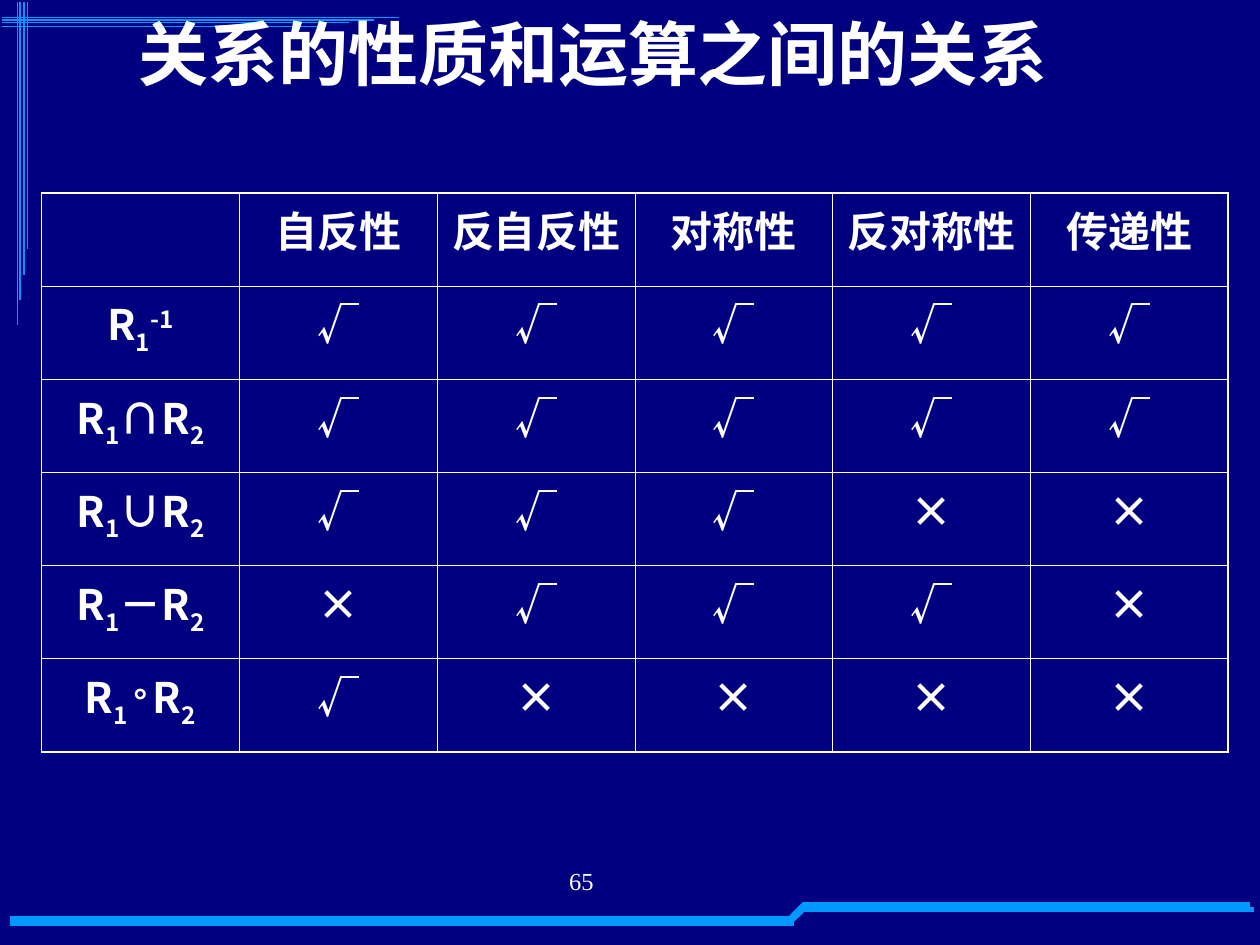
from lxml.etree import SubElement
from pptx import Presentation
from pptx.dml.color import RGBColor
from pptx.enum.text import MSO_ANCHOR, MSO_AUTO_SIZE, PP_ALIGN
from pptx.oxml import parse_xml
from pptx.oxml.ns import nsdecls, qn
from pptx.util import Inches, Pt

NAVY, BLUE, WHITE = "000080", "0099FF", "FFFFFF"
HAN = "Noto Sans CJK SC"
SUB, SUPER = -25, 30

HEADERS = ["自反性", "反自反性", "对称性", "反对称性", "传递性"]
OPERATIONS = [
    ([("R", 0), ("1", SUB), ("-1", SUPER)], "√√√√√"),
    ([("R", 0), ("1", SUB), ("∩R", 0), ("2", SUB)], "√√√√√"),
    ([("R", 0), ("1", SUB), ("∪R", 0), ("2", SUB)], "√√√××"),
    ([("R", 0), ("1", SUB), ("－R", 0), ("2", SUB)], "×√√√×"),
    ([("R", 0), ("1 ", SUB), ("°", 0), (" ", SUB), ("R", 0), ("2", SUB)], "√××××"),
]


def rgb(color):
    return RGBColor.from_string(color)


def format_run(r, size, font=HAN, bold=True):
    r.font.size = Pt(size)
    r.font.bold = bold
    r.font.color.rgb = rgb(WHITE)
    r.font.name = font
    SubElement(r.font._element, qn("a:ea")).set("typeface", font)


def add_line(s, x1, y1, x2, y2, width):
    line = s.shapes.add_connector(1, Inches(x1), Inches(y1), Inches(x2), Inches(y2))
    line.line.color.rgb = rgb(BLUE)
    line.line.width = Pt(width)
    SubElement(line._element.spPr, qn("a:effectLst"))


def add_corner_lines(s, x, y):
    for i, offset in enumerate((0.12, 0.14, 0.16, 0.19)):
        add_line(s, x, y + offset, x + 3.15 - 0.2 * i, y + offset, 0.75)
    for i, offset in enumerate((0.12, 0.14, 0.17, 0.2)):
        add_line(s, x + offset, y, x + offset, y + 2.56 - 0.2 * i, 0.75)


def add_footer_band(s, x, y):
    for i in range(2):
        top = y + 0.04 * i
        slant = x + 6.2 - 0.01 * i
        add_line(s, x, top + 0.11, x + 6.22, top + 0.11, 3)
        add_line(s, slant, top + 0.1, slant + 0.11, top - 0.01, 3)
        add_line(s, x + 6.29, top, x + 9.84 + 0.03 * i, top, 3)


def add_page_number(s, x, y, w, h):
    tf = s.shapes.add_textbox(Inches(x), Inches(y), Inches(w), Inches(h)).text_frame
    tf.word_wrap = True
    p = tf.paragraphs[0]
    p.text = "65"
    p.alignment = PP_ALIGN.CENTER
    p._p.get_or_add_pPr().set("marL", str(Inches(0.68)))
    format_run(p.runs[0], 14, "Times New Roman", False)


def place_title(s, x, y, w, h):
    title = s.shapes.title
    title.left, title.top, title.width, title.height = map(Inches, (x, y, w, h))
    tf = title.text_frame
    tf.text = "关系的性质和运算之间的关系"
    tf.auto_size = MSO_AUTO_SIZE.NONE
    tf.vertical_anchor = MSO_ANCHOR.MIDDLE
    p = tf.paragraphs[0]
    p.alignment = PP_ALIGN.LEFT
    format_run(p.runs[0], 40)
    title._element.getparent().append(title._element)


def set_borders(cell, outer_sides):
    cell.fill.background()
    tc_pr = cell._tc.get_or_add_tcPr()
    for i, side in enumerate("LRTB"):
        width = Pt(1.08 if side in outer_sides else 0.45)
        tc_pr.insert(i, parse_xml(
            f'<a:ln{side} {nsdecls("a")} w="{width}"><a:solidFill>'
            f'<a:srgbClr val="{WHITE}"/></a:solidFill></a:ln{side}>'))


def fill_cell(cell, pieces):
    p = cell.text_frame.paragraphs[0]
    p.alignment = PP_ALIGN.CENTER
    for text, baseline in pieces:
        r = p.add_run()
        r.text = text
        if text == "°":
            format_run(r, 20, "Arial")
        else:
            format_run(r, 24)
        if baseline:
            r.font._element.set("baseline", str(baseline * 1000))


def add_property_table(s, x, y, w, h):
    rows = [[[]] + [[(name, 0)] for name in HEADERS]]
    rows += [[label] + [[(mark, 0)] for mark in marks] for label, marks in OPERATIONS]
    n_rows, n_cols = len(rows), len(rows[0])
    table = s.shapes.add_table(
        n_rows, n_cols, Inches(x), Inches(y), Inches(w), Inches(h)).table
    table.first_row = table.horz_banding = False
    for i, row in enumerate(rows):
        for j, pieces in enumerate(row):
            cell = table.cell(i, j)
            edges = {"L": j == 0, "R": j == n_cols - 1, "T": i == 0, "B": i == n_rows - 1}
            set_borders(cell, [side for side, outer in edges.items() if outer])
            fill_cell(cell, pieces)


def main():
    prs = Presentation()
    prs.slide_width, prs.slide_height = Inches(10), Inches(7.5)
    s = prs.slides.add_slide(prs.slide_layouts[5])
    s.background.fill.solid()
    s.background.fill.fore_color.rgb = rgb(NAVY)
    add_footer_band(s, 0.08, 7.18)
    add_corner_lines(s, 0.02, 0.02)
    add_page_number(s, 3.11, 6.82, 2.33, 0.52)
    place_title(s, 1, 0, 9, 0.83)
    add_property_table(s, 0.33, 1.53, 9.42, 4.44)
    prs.save("out.pptx")


if __name__ == "__main__":
    main()
